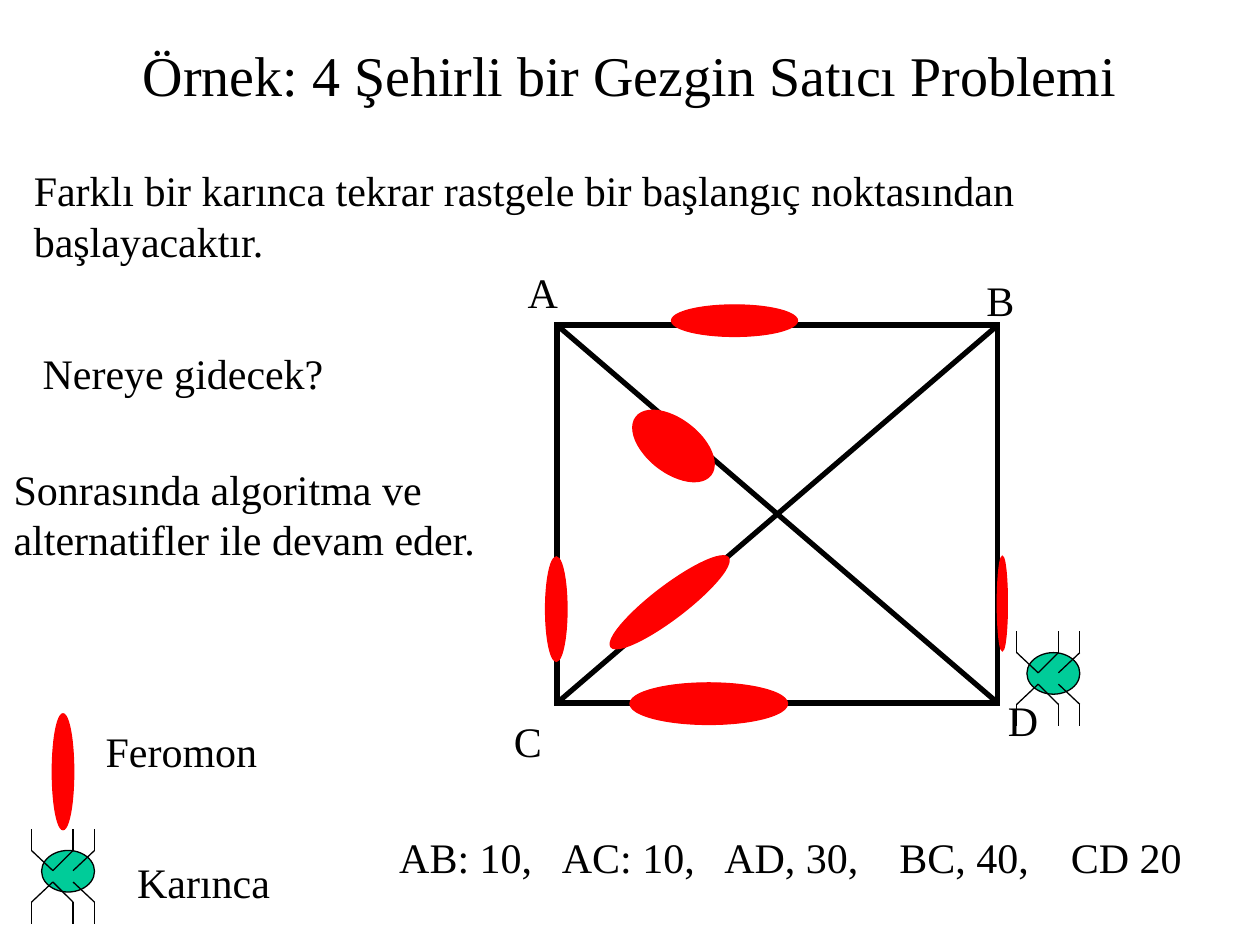
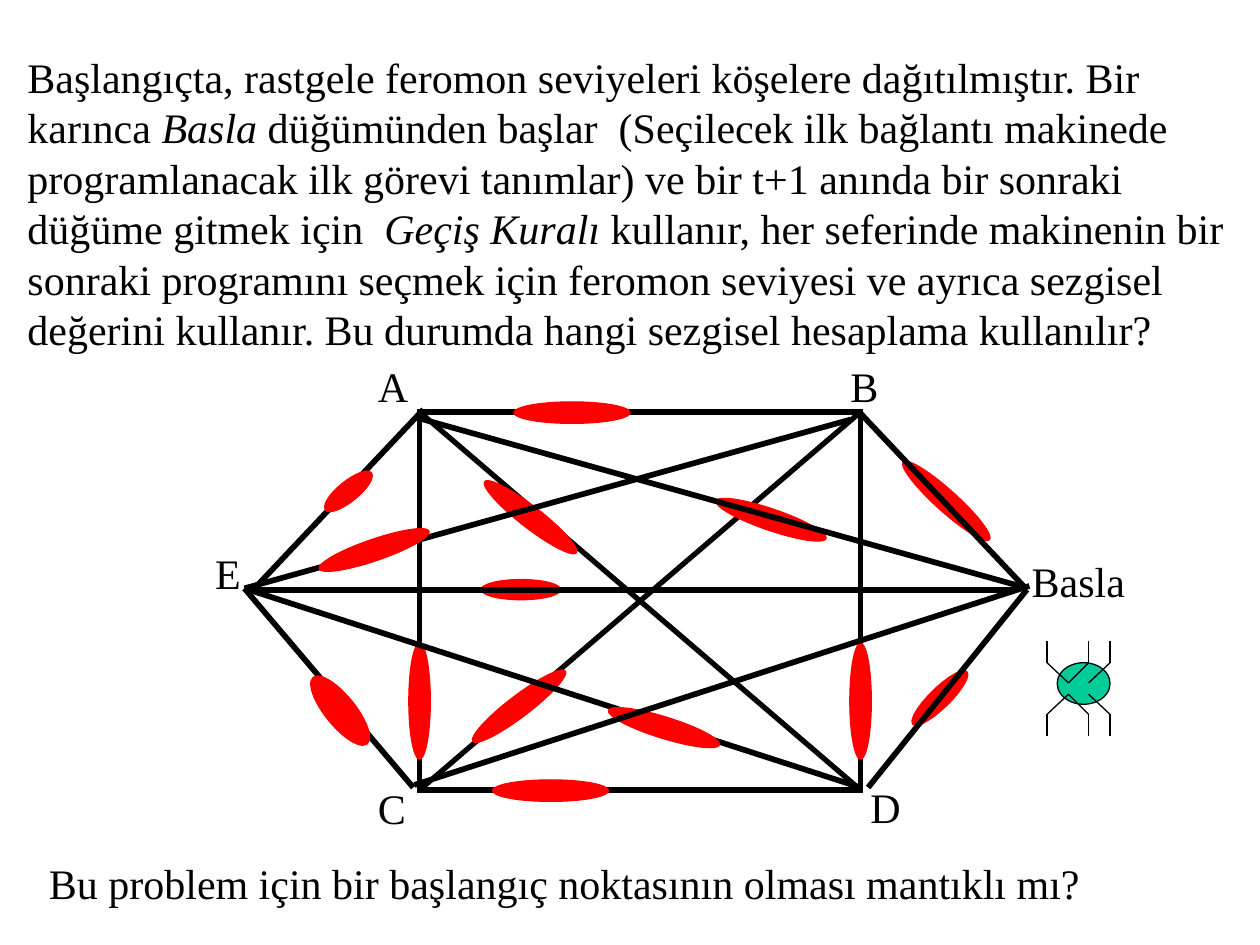
from typing import NamedTuple

from lxml import etree
from pptx import Presentation
from pptx.dml.color import RGBColor
from pptx.enum.shapes import MSO_CONNECTOR, MSO_SHAPE
from pptx.enum.text import MSO_ANCHOR, MSO_AUTO_SIZE, PP_ALIGN
from pptx.oxml.ns import qn
from pptx.util import Inches, Pt

STRAIGHT = MSO_CONNECTOR.STRAIGHT
ELLIPSE, RECTANGLE = MSO_SHAPE.OVAL, MSO_SHAPE.RECTANGLE
MIDDLE, CENTER = MSO_ANCHOR.MIDDLE, PP_ALIGN.CENTER
GROW = MSO_AUTO_SIZE.SHAPE_TO_FIT_TEXT
TITLE_ONLY, BLANK = 5, 6

BLACK, RED, GREEN = "000000", "FF0000", "00CC99"
BODY_SIZE, TITLE_SIZE = 24, 32
THIN, SQUARE_LINE, ROUTE_LINE = 0.75, 3, 3.25
SQUARE_WIDTH, SQUARE_HEIGHT = 3.5, 3
LINE_HEIGHT = 0.5
MARGINS = {
    "margin_left": Inches(0.1), "margin_right": Inches(0.1),
    "margin_top": Inches(0.05), "margin_bottom": Inches(0.05),
}

# Ant geometry, measured from its top left corner
ANT_BODY = (0.08, 0.17, 0.42, 0.33)
ANT_HEIGHT = 0.75
UPPER_LEGS = [
    [(0.5, 0), (0.5, 0.17), (0.33, 0.33)],
    [(0.33, 0), (0.33, 0.17), (0.17, 0.33)],
    [(0, 0), (0, 0.17), (0.17, 0.33)],
]
LOWER_LEGS = [
    [(x, ANT_HEIGHT - y) for x, y in leg] for leg in UPPER_LEGS
]


class Note(NamedTuple):
    """Text whose parts between asterisks are italic."""
    text: str
    left: float
    top: float
    width: float
    height: float = LINE_HEIGHT
    wrap: bool = False
    tabs: tuple = ()


class Pheromone(NamedTuple):
    left: float
    top: float
    width: float
    height: float
    rotation: float = 0


class Route(NamedTuple):
    x1: float
    y1: float
    x2: float
    y2: float


def color(value: str) -> RGBColor:
    return RGBColor.from_string(value)


def format_font(font, size: float, italic: bool = False) -> None:
    values = {"name": "Times New Roman", "size": Pt(size), "italic": italic}
    for attribute, value in values.items():
        setattr(font, attribute, value)
    font.color.rgb = color(BLACK)


def add_tabs(paragraph, positions: tuple) -> None:
    tab_list = etree.SubElement(paragraph._p.get_or_add_pPr(), qn("a:tabLst"))
    for position in positions:
        etree.SubElement(tab_list, qn("a:tab"), pos=str(Inches(position)), algn="l")


def add_note(slide, note: Note) -> None:
    box = slide.shapes.add_textbox(*map(Inches, note[1:5]))
    frame = box.text_frame
    for attribute, value in MARGINS.items():
        setattr(frame, attribute, value)
    frame.word_wrap = note.wrap
    frame.auto_size = GROW
    for index, line in enumerate(note.text.split("\n")):
        paragraph = frame.add_paragraph() if index else frame.paragraphs[0]
        if note.tabs:
            add_tabs(paragraph, note.tabs)
        for part_index, part in enumerate(line.split("*")):
            run = paragraph.add_run()
            run.text = part
            format_font(run.font, BODY_SIZE, italic=part_index % 2 == 1)


def add_outline(shapes, kind, box, fill: str | None, line: str,
                weight: float, rotation: float = 0) -> None:
    shape = shapes.add_shape(kind, *map(Inches, box))
    shape.shadow.inherit = False
    shape.rotation = rotation
    if fill:
        shape.fill.solid()
        shape.fill.fore_color.rgb = color(fill)
    else:
        shape.fill.background()
    shape.line.color.rgb = color(line)
    shape.line.width = Pt(weight)
    # Sharp corners
    etree.SubElement(shape.line._get_or_add_ln(), qn("a:miter"), lim="800000")


def add_line(shapes, ends, weight: float) -> None:
    line = shapes.add_connector(STRAIGHT, *map(Inches, ends))
    line.line.color.rgb = color(BLACK)
    line.line.width = Pt(weight)
    etree.SubElement(line._element.spPr, qn("a:effectLst"))


def add_pheromones(slide, pheromones: list[Pheromone]) -> None:
    for trail in pheromones:
        add_outline(slide.shapes, ELLIPSE, trail[:4], RED, RED, THIN, trail.rotation)


def add_routes(slide, routes: list[Route]) -> None:
    for route in routes:
        add_line(slide.shapes, route, ROUTE_LINE)


def add_city_square(slide, left: float, top: float) -> None:
    right, bottom = left + SQUARE_WIDTH, top + SQUARE_HEIGHT
    add_outline(slide.shapes, RECTANGLE, (left, top, SQUARE_WIDTH, SQUARE_HEIGHT),
                None, BLACK, SQUARE_LINE)
    add_line(slide.shapes, (left, top, right, bottom), SQUARE_LINE)
    add_line(slide.shapes, (left, bottom, right, top), SQUARE_LINE)


def add_ant(slide, left: float, top: float) -> None:
    ant = slide.shapes.add_group_shape().shapes
    x, y, width, height = ANT_BODY
    add_outline(ant, ELLIPSE, (left + x, top + y, width, height), GREEN, BLACK, THIN)
    for leg in UPPER_LEGS + LOWER_LEGS:
        for (x1, y1), (x2, y2) in zip(leg, leg[1:]):
            add_line(ant, (left + x1, top + y1, left + x2, top + y2), THIN)


def set_title(slide, text: str) -> None:
    title = slide.shapes.title
    title.left, title.top, title.width, title.height = map(
        Inches, (0.75, 0.25, 8.5, 0.67))
    title.text_frame.text = text
    title.text_frame.vertical_anchor = MIDDLE
    paragraph = title.text_frame.paragraphs[0]
    paragraph.alignment = CENTER
    format_font(paragraph.runs[0].font, TITLE_SIZE)


def build_four_cities(deck) -> None:
    slide = deck.slides.add_slide(deck.slide_layouts[TITLE_ONLY])
    set_title(slide, "Örnek: 4 Şehirli bir Gezgin Satıcı Problemi")

    # City names, explanations, legend and distances
    notes = [
        Note("A", 4.09, 2.07, 0.44),
        Note("B", 7.73, 2.13, 0.42),
        Note("C", 3.98, 5.63, 0.42),
        Note("D", 7.9, 5.46, 0.44),
        Note("Farklı bir karınca tekrar rastgele bir başlangıç noktasından "
             "başlayacaktır.", 0.17, 1.26, 9.83, 0.9, wrap=True),
        Note("Nereye gidecek?", 0.24, 2.71, 2.5, 0.9),
        Note("Sonrasında algoritma ve\nalternatifler ile devam eder.",
             0.01, 3.63, 4, 0.9),
        Note("Feromon", 0.74, 5.71, 1.5),
        Note("Karınca", 0.99, 6.75, 1.35),
        Note("AB: 10,\tAC: 10,\tAD, 30,\tBC, 40,\tCD 20", 3.07, 6.55, 6.55,
             tabs=(1.29, 2.58, 3.97, 5.33)),
    ]
    for note in notes:
        add_note(slide, note)

    # Graph with its trails, then the legend symbols
    add_city_square(slide, 4.42, 2.58)
    add_ant(slide, 8.07, 5.01)
    add_pheromones(slide, [
        Pheromone(5, 5.42, 1.25, 0.33),
        Pheromone(5.33, 2.42, 1, 0.25),
        Pheromone(4.73, 4.65, 1.17, 0.26, 322.7),
        Pheromone(4.97, 3.33, 0.75, 0.42, 37.8),
        Pheromone(7.58, 4.75, 0.75, 0.08, 90),
        Pheromone(4, 4.75, 0.83, 0.17, 90),
        Pheromone(0.04, 6.04, 0.92, 0.17, 90),
    ])
    add_ant(slide, 0.25, 6.58)


def build_start_node(deck) -> None:
    slide = deck.slides.add_slide(deck.slide_layouts[BLANK])

    # Node names, explanation and closing question
    notes = [
        Note("A", 2.9, 2.81, 0.44),
        Note("B", 6.65, 2.81, 0.42),
        Note("C", 2.9, 6.16, 0.42),
        Note("D", 6.81, 6.15, 0.44),
        Note("E", 1.61, 4.3, 0.4),
        Note("Basla", 8.09, 4.36, 1),
        Note("Başlangıçta, rastgele feromon seviyeleri köşelere dağıtılmıştır. "
             "Bir karınca *Basla *düğümünden başlar  (Seçilecek ilk bağlantı "
             "makinede programlanacak ilk görevi tanımlar) ve bir t+1 anında bir "
             "sonraki düğüme gitmek için  *Geçiş Kuralı *kullanır, her seferinde "
             "makinenin bir sonraki programını seçmek için feromon seviyesi ve "
             "ayrıca sezgisel değerini kullanır. Bu durumda hangi sezgisel "
             "hesaplama kullanılır?", 0.12, 0.36, 9.76, 2.5, wrap=True),
        Note("Bu problem için bir başlangıç noktasının olması mantıklı mı?",
             0.29, 6.76, 8.6),
    ]
    for note in notes:
        add_note(slide, note)

    # Square A, B, C, D
    add_city_square(slide, 3.33, 3.27)
    add_ant(slide, 8.31, 5.09)
    trail = (0.92, 0.17)
    add_pheromones(slide, [
        Pheromone(3.91, 6.19, *trail),
        Pheromone(4.08, 3.19, *trail),
        Pheromone(3.66, 5.52, *trail, 322.7),
        Pheromone(3.75, 4.02, *trail, 37.8),
        Pheromone(6.37, 5.48, *trail, 90),
        Pheromone(2.87, 5.48, *trail, 90),
    ])

    # Routes of E, with the trails above them
    add_routes(slide, [
        Route(3.28, 6.25, 1.94, 4.67),
        Route(6.83, 6.25, 1.94, 4.67),
        Route(6.75, 3.33, 1.94, 4.67),
        Route(2.02, 4.67, 3.36, 3.25),
    ])
    add_pheromones(slide, [
        Pheromone(2.36, 5.52, 0.68, 0.24, 51),
        Pheromone(4.81, 5.69, *trail, 17.2),
        Pheromone(2.51, 4.28, *trail, 161.1),
        Pheromone(2.53, 3.82, 0.47, 0.16, 141),
    ])

    # Routes of Basla, with the trails below them
    add_pheromones(slide, [
        Pheromone(3.82, 4.6, 0.63, 0.16),
        Pheromone(7.05, 3.89, *trail, 42),
        Pheromone(5.66, 4.04, *trail, 18.9),
        Pheromone(7.16, 5.46, 0.6, 0.16, 315.7),
    ])
    add_routes(slide, [
        Route(3.29, 6.23, 8.17, 4.65),
        Route(3.29, 3.31, 8.09, 4.65),
        Route(8.15, 4.68, 6.81, 3.26),
        Route(6.89, 6.25, 8.15, 4.68),
        Route(8.07, 4.68, 2.01, 4.68),
    ])


def main() -> None:
    deck = Presentation()
    deck.slide_width, deck.slide_height = Inches(10), Inches(7.5)
    build_four_cities(deck)
    build_start_node(deck)
    deck.save("out.pptx")


if __name__ == "__main__":
    main()
